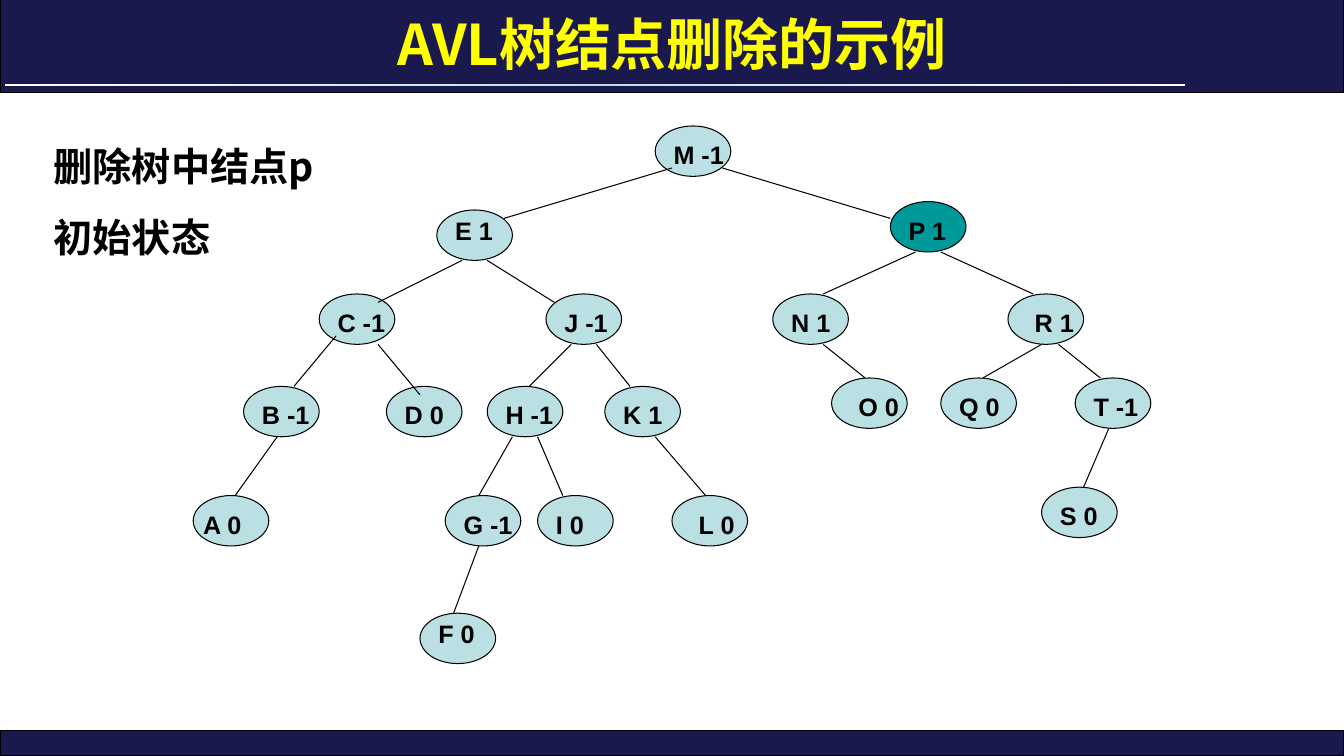
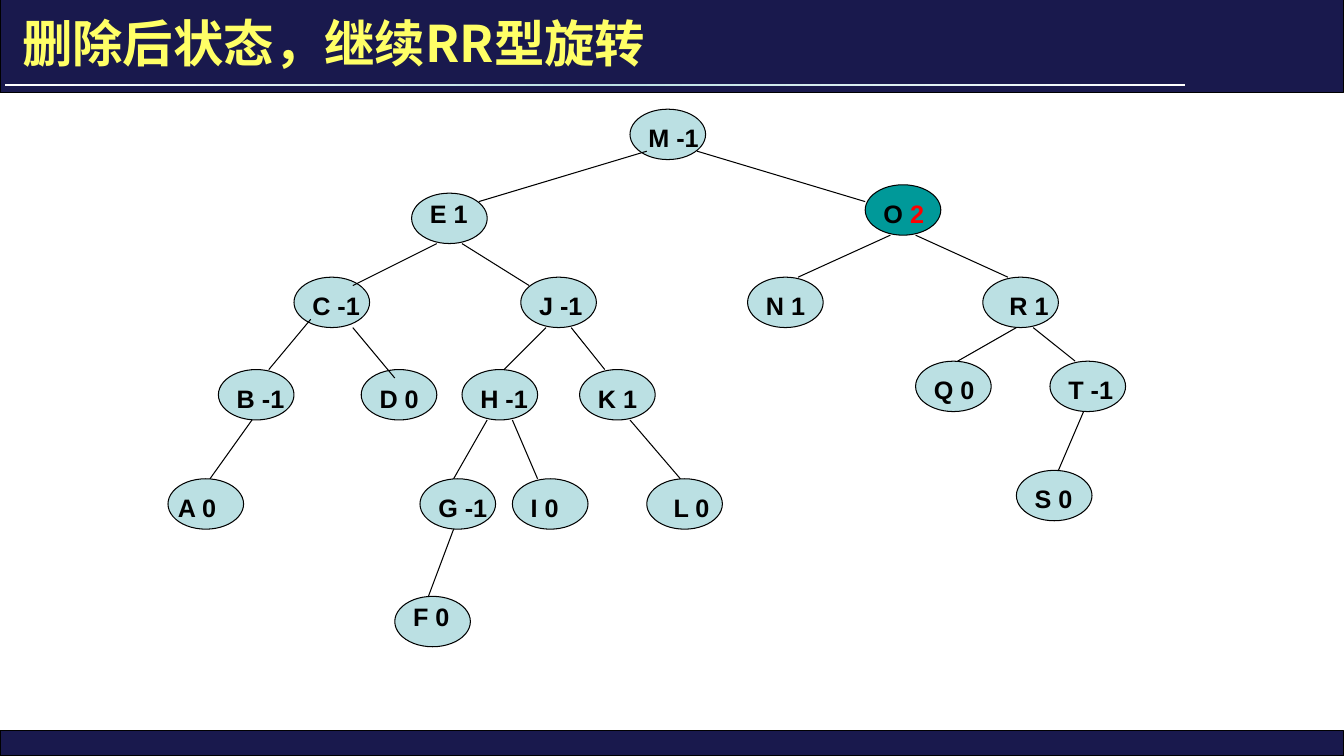
import copy

import pptx
import pptx.dml.color
import pptx.enum.shapes
import pptx.enum.text
import pptx.oxml.ns
import pptx.util

RGBColor = pptx.dml.color.RGBColor
NAVY = RGBColor(0x19, 0x19, 0x4D)
BLACK = RGBColor(0, 0, 0)
WHITE = RGBColor(0xFF, 0xFF, 0xFF)
PALE_BLUE = RGBColor(0xBB, 0xE0, 0xE3)
TEAL = RGBColor(0x00, 0x99, 0x99)
RED = RGBColor(0xFF, 0, 0)
YELLOW = RGBColor(0xFF, 0xFF, 0)
SOFT_YELLOW = RGBColor(0xFF, 0xFF, 0x66)
LATIN_FONT = "Arial"
CHINESE_FONT = "Noto Sans CJK SC"

COLUMNS, ROWS = 160, 90
NODE_WIDTH, NODE_HEIGHT = 9, 6
LINE_WIDTH = pptx.util.Pt(0.75)
LEFT, CENTER = pptx.enum.text.PP_ALIGN.LEFT, pptx.enum.text.PP_ALIGN.CENTER
RECTANGLE = pptx.enum.shapes.MSO_SHAPE.RECTANGLE
OVAL = pptx.enum.shapes.MSO_SHAPE.OVAL

presentation = pptx.Presentation()
presentation.slide_width = pptx.util.Inches(13.3333334)
presentation.slide_height = pptx.util.Inches(7.5)
CELL = presentation.slide_height // ROWS


def add_filled(slide, preset, box, color):
    shape = slide.shapes.add_shape(preset, *[round(cells * CELL) for cells in box])
    shape.shadow.inherit = False
    shape.fill.solid()
    shape.fill.fore_color.rgb = color
    shape.line.color.rgb = BLACK
    shape.line.width = LINE_WIDTH
    return shape


def format_runs(paragraph, font_name, size, color):
    for run in paragraph.runs:
        run.font.name = font_name
        run.font.size = pptx.util.Pt(size)
        run.font.bold = True
        run.font.color.rgb = color
        east_asian = run.font._element.makeelement(pptx.oxml.ns.qn("a:ea"), {"typeface": font_name})
        run.font._element.find(pptx.oxml.ns.qn("a:latin")).addnext(east_asian)


# name: column, row, label column offset, label row offset
NODES = {
    "M -1": (78, 15, 1, 1),
    "E 1": (52, 25, 1, 0),
    "P 1": (106, 24, 1, 1),
    "C -1": (38, 35, 1, 1),
    "J -1": (65, 35, 1, 1),
    "N 1": (92, 35, 1, 1),
    "R 1": (120, 35, 2, 1),
    "B -1": (29, 46, 1, 1),
    "D 0": (46, 46, 1, 1),
    "H -1": (58, 46, 1, 1),
    "K 1": (72, 46, 1, 1),
    "O 0": (99, 45, 2, 1),
    "Q 0": (112, 45, 1, 1),
    "T -1": (128, 45, 1, 1),
    "A 0": (23, 59, 0, 1),
    "G -1": (53, 59, 1, 1),
    "I 0": (64, 59, 1, 1),
    "L 0": (80, 59, 2, 1),
    "S 0": (124, 58, 1, 1),
    "F 0": (50, 73, 1, 0),
}
EDGES = {
    "ME": (80, 20, 60, 26),
    "MP": (86, 20, 106, 26),
    "EC": (55, 31, 45, 36),
    "EJ": (58, 31, 66, 36),
    "CB": (40, 40, 35, 46),
    "CD": (45, 41, 50, 47),
    "BA": (33, 52, 28, 59),
    "JH": (68, 41, 63, 46),
    "JK": (71, 41, 75, 46),
    "HG": (61, 52, 57, 59),
    "HI": (64, 52, 67, 59),
    "KL": (78, 52, 84, 59),
    "GF": (57, 65, 54, 73),
    "PN": (109, 30, 98, 35),
    "PR": (112, 30, 123, 35),
    "NO": (98, 41, 103, 45),
    "RQ": (124, 41, 117, 45),
    "RT": (126, 41, 131, 45),
    "TS": (132, 51, 129, 58),
}
SLIDES = [
    {
        "title": "AVL树结点删除的示例",
        "title_box": (22, 2.16, 116, 6),
        "title_style": (40, YELLOW, CENTER, 0.1),
        "notes": ["删除树中结点p", "初始状态"],
        "shift": (0, 0),
        "removed": None,
        "replaced": {},
    },
    {
        "title": "删除后状态，继续RR型旋转",
        "title_box": (0, 2, 122, 6),
        "title_style": (36, SOFT_YELLOW, LEFT, 0.22),
        "notes": [],
        "shift": (-3, -2),
        "removed": "O 0",
        "replaced": {"P 1": ("O ", "2")},
    },
]

title_only = presentation.slide_layouts.get_by_name("Title Only")
slides = [presentation.slides.add_slide(title_only) for content in SLIDES]

bottom_band = add_filled(slides[0], RECTANGLE, (0, ROWS - 3, COLUMNS, 3), NAVY)
top_band = add_filled(slides[0], RECTANGLE, (0, 0, COLUMNS, 11), NAVY)
title_rule = add_filled(slides[0], RECTANGLE, (0.6, 10, 140.5, 0.25), WHITE)
title_rule.line.fill.background()
title_rule.fill.gradient()
title_rule.fill.gradient_angle = 0
first_stop, last_stop = title_rule.fill.gradient_stops
first_stop.color.rgb = last_stop.color.rgb = WHITE
first_stop._gs.addnext(copy.deepcopy(first_stop._gs))
middle_stop = title_rule.fill.gradient_stops[1]
middle_stop.position = 0.5
middle_stop.color.rgb = PALE_BLUE
master_tree = presentation.slide_master.shapes._spTree
for index, shape in enumerate([bottom_band, top_band, title_rule]):
    shape._element.nvSpPr.cNvPr.set("id", str(100 + index))
    master_tree.insert(2 + index, shape._element)

for slide, content in zip(slides, SLIDES):
    title = slide.shapes.title
    title.left, title.top, title.width, title.height = [round(cells * CELL) for cells in content["title_box"]]
    size, color, alignment, margin = content["title_style"]
    title.text_frame.text = content["title"]
    title.text_frame.auto_size = pptx.enum.text.MSO_AUTO_SIZE.NONE
    title.text_frame.vertical_anchor = pptx.enum.text.MSO_ANCHOR.MIDDLE
    title.text_frame.margin_left = pptx.util.Inches(margin)
    title.text_frame.paragraphs[0].alignment = alignment
    format_runs(title.text_frame.paragraphs[0], CHINESE_FONT, size, color)

    if content["notes"]:
        notes = slide.shapes.add_textbox(*[round(cells * CELL) for cells in (5.2, 13.6, 150.5, 20)])
        notes.text_frame.word_wrap = True
        notes.text_frame.text = "\n".join(content["notes"])
        for paragraph in notes.text_frame.paragraphs:
            paragraph.line_spacing = 1.5
            format_runs(paragraph, CHINESE_FONT, 28, BLACK)

    shift_columns, shift_rows = content["shift"]
    nodes = {name: place for name, place in NODES.items() if name != content["removed"]}
    letters = {name[0] for name in nodes}

    for name, (column, row, _, _) in nodes.items():
        box = (column + shift_columns, row + shift_rows, NODE_WIDTH, NODE_HEIGHT)
        add_filled(slide, OVAL, box, TEAL if name == "P 1" else PALE_BLUE)

    for ends, (start_column, start_row, end_column, end_row) in EDGES.items():
        if not letters.issuperset(ends):
            continue
        edge = slide.shapes.add_connector(
            pptx.enum.shapes.MSO_CONNECTOR.STRAIGHT,
            (start_column + shift_columns) * CELL,
            (start_row + shift_rows) * CELL,
            (end_column + shift_columns) * CELL,
            (end_row + shift_rows) * CELL,
        )
        edge.line.color.rgb = BLACK
        edge.line.width = LINE_WIDTH
        edge._element.spPr.append(edge._element.makeelement(pptx.oxml.ns.qn("a:effectLst"), {}))

    for name, (column, row, label_column, label_row) in nodes.items():
        label = slide.shapes.add_textbox(
            (column + label_column + shift_columns) * CELL,
            (row + label_row + shift_rows) * CELL,
            NODE_WIDTH * CELL,
            pptx.util.Inches(0.4),
        )
        label.text_frame.word_wrap = True
        paragraph = label.text_frame.paragraphs[0]
        parts = content["replaced"].get(name, (name,))
        for part in parts:
            paragraph.add_run().text = part
        format_runs(paragraph, LATIN_FONT, 18, BLACK)
        if len(parts) > 1:
            paragraph.runs[-1].font.color.rgb = RED

presentation.save("out.pptx")
